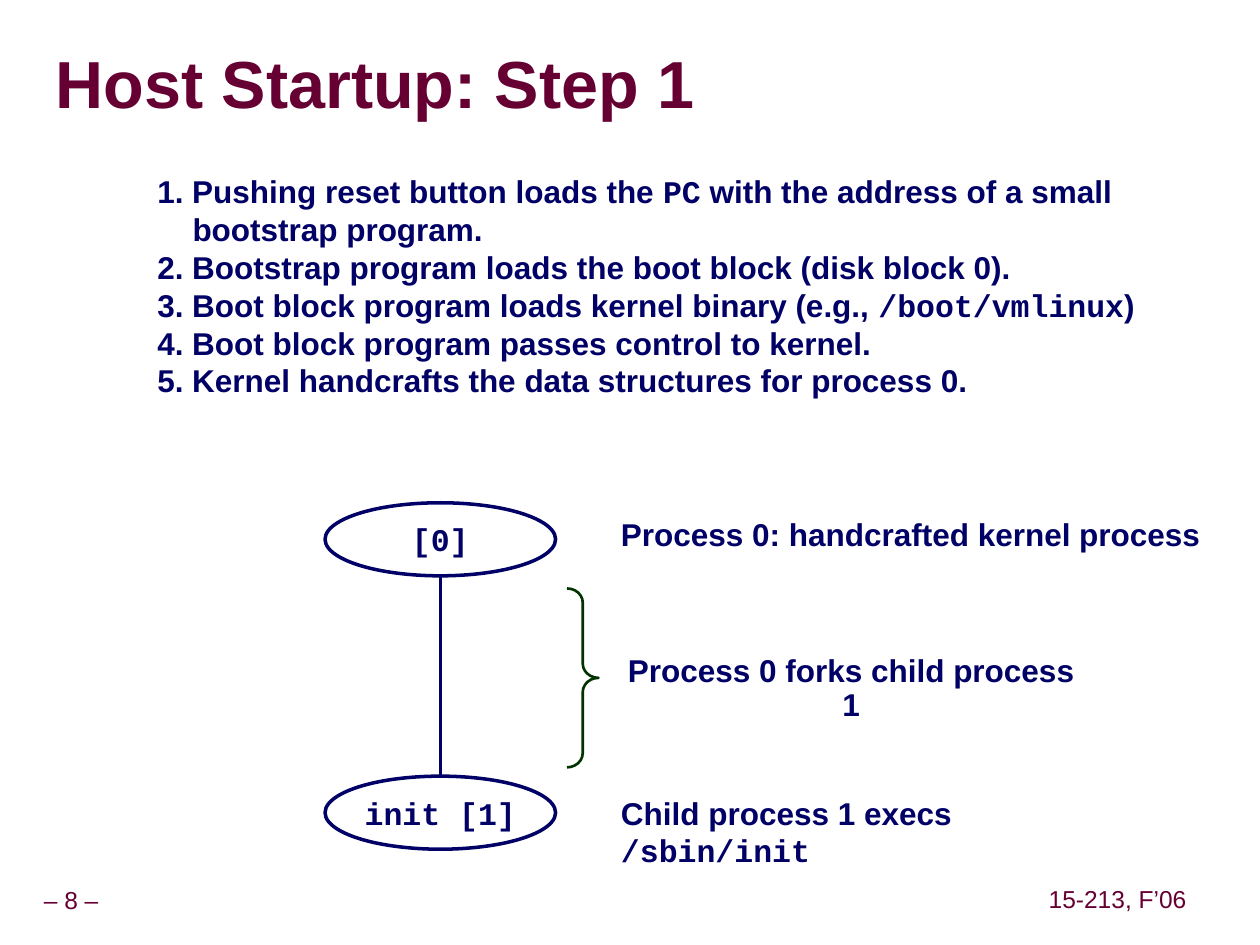
"""Build the slide that explains the first step of host startup."""
from typing import NamedTuple

from lxml import etree
from pptx import Presentation
from pptx.dml.color import RGBColor
from pptx.enum.shapes import MSO_CONNECTOR, MSO_SHAPE
from pptx.enum.text import MSO_ANCHOR, MSO_AUTO_SIZE, PP_ALIGN
from pptx.oxml.ns import qn
from pptx.util import Inches, Pt

LEFT, CENTER = PP_ALIGN.LEFT, PP_ALIGN.CENTER
TOP, MIDDLE = MSO_ANCHOR.TOP, MSO_ANCHOR.MIDDLE
FIT_SHAPE, NO_FIT = MSO_AUTO_SIZE.SHAPE_TO_FIT_TEXT, MSO_AUTO_SIZE.NONE
ELLIPSE, BRACE = MSO_SHAPE.OVAL, MSO_SHAPE.RIGHT_BRACE
STRAIGHT = MSO_CONNECTOR.STRAIGHT

COLORS = {"maroon": "660033", "navy": "000066", "green": "003300",
          "white": "FFFFFF", "shadow": "969696"}
SANS, MONO = "Arial", "Courier New"
NODE_LEFT, NODE_WIDTH, NODE_HEIGHT = 2.58, 1.83, 0.58
HANGING = 0.28


class Span(NamedTuple):
    text: str
    font: str = SANS


class Label(NamedTuple):
    box: tuple[float, float, float, float]
    paragraphs: list[list[Span]]
    color: str = "navy"
    size: int = 18
    bold: bool = True
    align: PP_ALIGN = LEFT
    anchor: MSO_ANCHOR = TOP
    side_inset: float = 0.1
    spacing: float = 1.0
    hanging: float = 0


class Process(NamedTuple):
    name: str
    top: float


STEPS = [
    [Span("1. Pushing reset button loads the "), Span("PC", MONO),
     Span(" with the address of a small\vbootstrap program.")],
    [Span("2. Bootstrap program loads the boot block (disk block 0).")],
    [Span("3. Boot block program loads kernel binary (e.g., "),
     Span("/boot/vmlinux", MONO), Span(")")],
    [Span("4. Boot block program passes control to kernel.")],
    [Span("5. Kernel handcrafts the data structures for process 0.")],
]
LABELS = [
    Label((-0.09, 7, 1.31, 0.31), [[Span("– 8 –")]], "maroon", 14, False,
          CENTER, MIDDLE, 0.05, 0.9),
    Label((8.27, 6.99, 1.2, 0.31), [[Span("15-213, F’06")]], "maroon", 14, False,
          CENTER, MIDDLE, 0.05, 0.9),
    Label((1.15, 1.32, 7.96, 2.2), STEPS, hanging=HANGING),
    Label((4.83, 4.04, 4.8, 0.4), [[Span("Process 0: handcrafted kernel process")]]),
    Label((4.83, 5.15, 3.85, 0.37), [[Span("Process 0 forks child process 1")]],
          align=CENTER, side_inset=0.05, spacing=0.9),
    Label((4.83, 6.25, 4.39, 0.4),
          [[Span("Child process 1 execs "), Span("/sbin/init", MONO)]]),
]
KERNEL, INIT = Process("[0]", 3.99), Process("init [1]", 6.16)


def rgb(color: str) -> RGBColor:
    """Return the named colour."""
    return RGBColor.from_string(COLORS[color])


def add_run(paragraph, text: str, font: str, size: int, color: str, bold: bool = True):
    """Append one formatted run and return it."""
    run = paragraph.add_run()
    run.text = text
    run.font.name, run.font.size, run.font.bold = font, Pt(size), bold
    run.font.color.rgb = rgb(color)
    return run


def add_span(paragraph, span: Span, label: Label) -> None:
    """Append a span, turning each vertical tab into a line break."""
    for index, line in enumerate(span.text.split("\v")):
        if index:
            paragraph.add_line_break()
        add_run(paragraph, line, span.font, label.size, label.color, label.bold)


def add_label(slide, label: Label) -> None:
    """Draw a text box of one or more paragraphs."""
    frame = slide.shapes.add_textbox(*map(Inches, label.box)).text_frame
    frame.word_wrap, frame.auto_size = False, FIT_SHAPE
    frame.vertical_anchor = label.anchor
    frame.margin_left = frame.margin_right = Inches(label.side_inset)
    frame.margin_top = frame.margin_bottom = Inches(0.05)
    for index, spans in enumerate(label.paragraphs):
        paragraph = frame.add_paragraph() if index else frame.paragraphs[0]
        paragraph.alignment, paragraph.line_spacing = label.align, label.spacing
        if label.hanging:
            properties = paragraph._p.get_or_add_pPr()
            properties.set("marL", str(Inches(label.hanging)))
            properties.set("indent", str(-Inches(label.hanging)))
        for span in spans:
            add_span(paragraph, span, label)


def add_title(slide, text: str) -> None:
    """Place the title and give its text a drop shadow."""
    title = slide.shapes.title
    title.left, title.top, title.width, title.height = map(Inches, (0.44, 0.27, 9.53, 0.85))
    frame = title.text_frame
    frame.margin_left = frame.margin_right = frame.margin_top = frame.margin_bottom = 0
    frame.vertical_anchor, frame.word_wrap, frame.auto_size = MIDDLE, True, NO_FIT
    paragraph = frame.paragraphs[0]
    paragraph.alignment, paragraph.line_spacing = LEFT, 0.87
    run = add_run(paragraph, text, SANS, 38, "maroon")
    effects = etree.Element(qn("a:effectLst"))
    shadow = etree.SubElement(effects, qn("a:outerShdw"), dist=str(Pt(4)), dir="2700000")
    etree.SubElement(shadow, qn("a:srgbClr"), val=COLORS["shadow"])
    run.font._element.find(qn("a:solidFill")).addnext(effects)


def add_process(slide, process: Process) -> None:
    """Draw a process as a labelled ellipse."""
    ellipse = slide.shapes.add_shape(
        ELLIPSE, *map(Inches, (NODE_LEFT, process.top, NODE_WIDTH, NODE_HEIGHT)))
    ellipse.shadow.inherit = False
    ellipse.fill.solid()
    ellipse.fill.fore_color.rgb = rgb("white")
    ellipse.line.color.rgb, ellipse.line.width = rgb("navy"), Pt(2)
    frame = ellipse.text_frame
    frame.word_wrap, frame.vertical_anchor = False, MIDDLE
    frame.paragraphs[0].alignment = CENTER
    add_run(frame.paragraphs[0], process.name, MONO, 18, "navy")


def add_fork_line(slide, parent: Process, child: Process) -> None:
    """Join the parent process to its child."""
    center = Inches(NODE_LEFT + NODE_WIDTH / 2)
    fork = slide.shapes.add_connector(
        STRAIGHT, center, Inches(parent.top + NODE_HEIGHT), center, Inches(child.top))
    fork.line.color.rgb, fork.line.width = rgb("navy"), Pt(2)
    etree.SubElement(fork._element.spPr, qn("a:effectLst"))


def add_brace(slide) -> None:
    """Draw the brace that spans the fork."""
    brace = slide.shapes.add_shape(BRACE, *map(Inches, (4.5, 4.67, 0.25, 1.42)))
    brace.adjustments[0] = 0.45
    brace.shadow.inherit = False
    brace.fill.background()
    brace.line.color.rgb, brace.line.width = rgb("green"), Pt(1.5)


def main() -> None:
    """Build and save the slide."""
    presentation = Presentation()
    presentation.slide_width, presentation.slide_height = Inches(10), Inches(7.5)
    slide = presentation.slides.add_slide(presentation.slide_layouts[5])
    add_title(slide, "Host Startup: Step 1")
    for process in (INIT, KERNEL):
        add_process(slide, process)
    add_fork_line(slide, KERNEL, INIT)
    add_brace(slide)
    for label in LABELS:
        add_label(slide, label)
    presentation.save("out.pptx")


if __name__ == "__main__":
    main()
